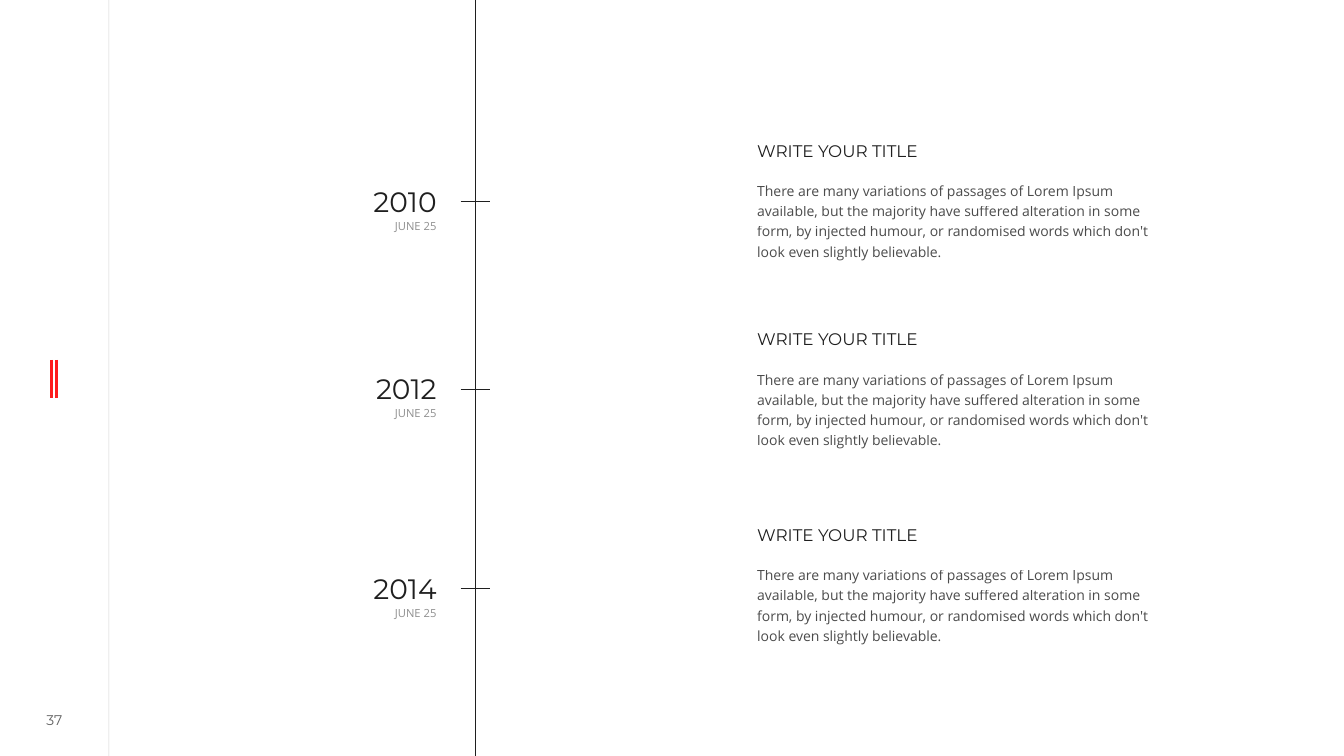
"""Build a timeline slide with three dated entries."""
from dataclasses import dataclass

from lxml.etree import SubElement
from pptx import Presentation
from pptx.dml.color import RGBColor
from pptx.enum.shapes import MSO_CONNECTOR as Connector
from pptx.enum.text import MSO_ANCHOR as Anchor, MSO_AUTO_SIZE as AutoSize, PP_ALIGN as Align
from pptx.oxml.ns import qn
from pptx.util import Inches, Pt


@dataclass(frozen=True)
class TextStyle:
    font: str
    size: float
    color: str
    opacity: int = 100
    spacing: float = 1.0
    align: Align = Align.LEFT


@dataclass(frozen=True)
class Theme:
    ink: str = "1F1F1F"
    accent: str = "FE1C1D"
    thin: float = 0.5
    thick: float = 2
    number: TextStyle = TextStyle("Montserrat", 10, ink, 70, align=Align.CENTER)
    title: TextStyle = TextStyle("Montserrat", 12, ink, spacing=0.7)
    body: TextStyle = TextStyle("Open Sans", 10, ink, 80, 1.2)
    year: TextStyle = TextStyle("Montserrat", 20, ink, spacing=0.7, align=Align.RIGHT)
    date: TextStyle = TextStyle("Open Sans", 8, "8F8F8F", spacing=0.7, align=Align.RIGHT)


THEME = Theme()
WIDTH, HEIGHT = 13.33, 7.5
AXIS_X = 4.71
TICK_LEFT, TICK_RIGHT = 4.57, 4.86
DATE_LEFT, DATE_WIDTH = 2.61, 1.72
COPY_LEFT, COPY_WIDTH = 7.51, 4.01
TITLE = "WRITE YOUR TITLE"
BODY = (
    "There are many variations of passages of Lorem Ipsum available, but the majority "
    "have suffered alteration in some form, by injected humour, or randomised words "
    "which don't look even slightly believable."
)
ENTRIES = [("2010", 2.0, 1.4), ("2012", 3.86, 3.27), ("2014", 5.84, 5.21)]


def set_opacity(element, percent):
    """Make the colour inside an element partly transparent."""
    if percent < 100:
        color = next(element.iter(qn("a:srgbClr")))
        SubElement(color, qn("a:alpha")).set("val", str(percent * 1000))


def add_line(page, start, end, color, weight, opacity=100):
    """Draw a straight line without a shadow."""
    line = page.shapes.add_connector(Connector.STRAIGHT, *map(Inches, start + end))
    line.line.color.rgb = RGBColor.from_string(color)
    line.line.width = Pt(weight)
    properties = line._element.spPr
    set_opacity(properties, opacity)
    SubElement(properties, qn("a:effectLst"))


def add_text(page, text, bounds, style, inset=0.05, anchor=Anchor.TOP, auto_size=AutoSize.SHAPE_TO_FIT_TEXT):
    """Place one styled paragraph in a wrapping box."""
    frame = page.shapes.add_textbox(*map(Inches, bounds)).text_frame
    frame.word_wrap = True
    frame.auto_size = auto_size
    frame.vertical_anchor = anchor
    frame.margin_left = frame.margin_right = 0
    frame.margin_top = frame.margin_bottom = Inches(inset)
    para = frame.paragraphs[0]
    para.text = text
    para.alignment = style.align
    para.line_spacing = style.spacing
    para.font.name = style.font
    para.font.size = Pt(style.size)
    para.font.color.rgb = RGBColor.from_string(style.color)
    set_opacity(para._p, style.opacity)


def add_sidebar(page):
    """Draw the left rule, the accent bars and the page number."""
    add_line(page, (1.08, 0), (1.08, HEIGHT), THEME.ink, THEME.thin, 20)
    for x in (0.51, 0.56):
        add_line(page, (x, 3.57), (x, 3.95), THEME.accent, THEME.thick)
    add_text(page, "37", (0.26, 7.02, 0.56, 0.25), THEME.number, 0, Anchor.MIDDLE, AutoSize.NONE)


def add_entry(page, year, tick_y, title_y):
    """Add one timeline tick with its date and its copy."""
    add_text(page, TITLE, (COPY_LEFT, title_y, COPY_WIDTH, 0.24), THEME.title)
    add_text(page, BODY, (COPY_LEFT, title_y + 0.33, COPY_WIDTH, 0.91), THEME.body)
    add_text(page, year, (DATE_LEFT, tick_y - 0.13, DATE_WIDTH, 0.36), THEME.year)
    add_line(page, (TICK_LEFT, tick_y), (TICK_RIGHT, tick_y), THEME.ink, THEME.thin)
    add_text(page, "JUNE 25", (DATE_LEFT, tick_y + 0.16, DATE_WIDTH, 0.2), THEME.date)


def main():
    """Build and save the deck."""
    deck = Presentation()
    deck.slide_width, deck.slide_height = Inches(WIDTH), Inches(HEIGHT)
    page = deck.slides.add_slide(deck.slide_layouts[6])
    add_sidebar(page)
    add_line(page, (AXIS_X, 0), (AXIS_X, HEIGHT), THEME.ink, THEME.thin)
    for entry in ENTRIES:
        add_entry(page, *entry)
    deck.save("out.pptx")


if __name__ == "__main__":
    main()
